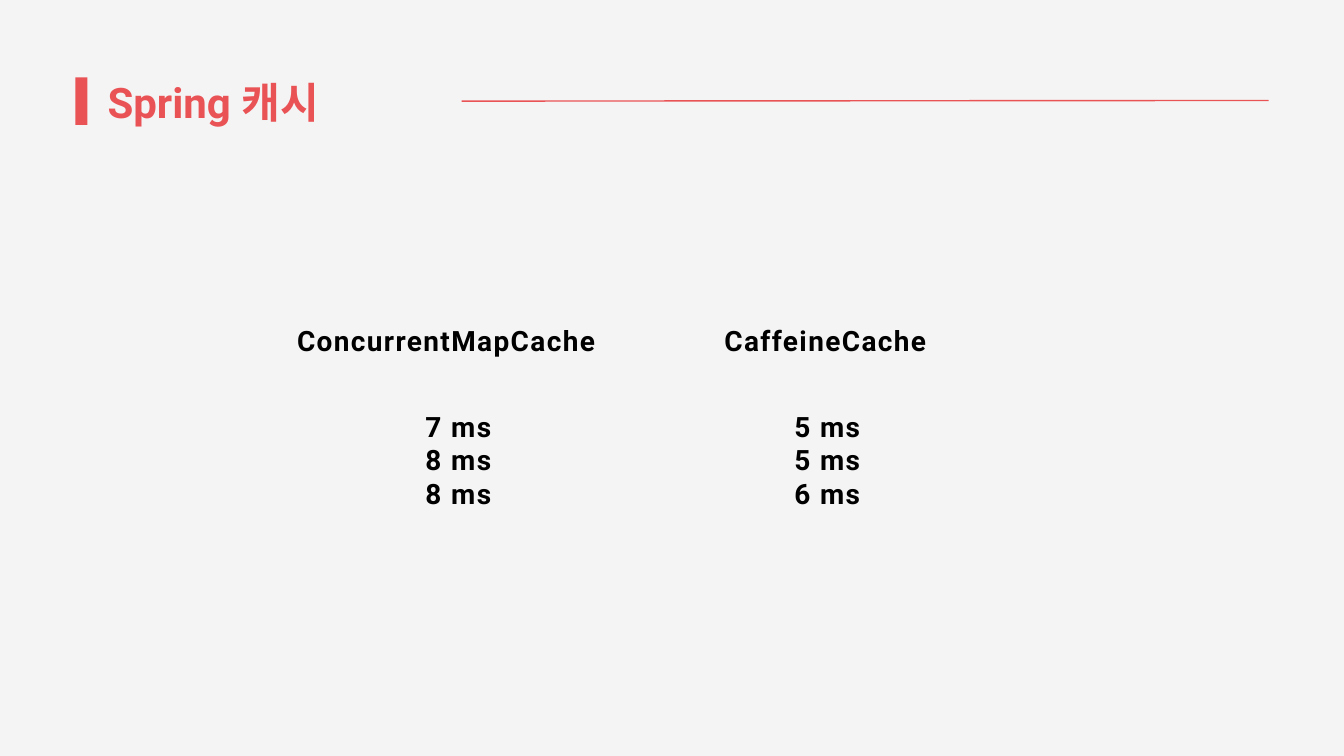
from dataclasses import dataclass

from lxml.etree import SubElement
from pptx import Presentation
from pptx.dml.color import RGBColor
from pptx.enum.shapes import MSO_CONNECTOR, MSO_SHAPE
from pptx.enum.text import MSO_ANCHOR, MSO_AUTO_SIZE, PP_ALIGN
from pptx.oxml.ns import qn
from pptx.util import Inches, Pt


@dataclass(frozen=True)
class Theme:
    font: str = "Roboto"
    background: RGBColor = RGBColor(0xF4, 0xF4, 0xF4)
    accent: RGBColor = RGBColor(0xEA, 0x53, 0x55)
    ink: RGBColor = RGBColor(0, 0, 0)
    title_size: float = 45
    title_leading: float = 58.5
    body_size: float = 30
    body_leading: float = 36
    body_tracking: float = 1.5


THEME = Theme()
WIDTH, HEIGHT = 20, 11.25
COMPARISON_LAYOUT = 4
COLUMN_WIDTH = 8.18
LINE_HEIGHT = THEME.body_leading / 72
COLUMNS = [
    # heading, heading left, values, indent of the values
    ("ConcurrentMapCache", 4.42, ["7 ms", "8 ms", "8 ms"], 1.91),
    ("CaffeineCache", 10.78, ["5 ms", "5 ms", "6 ms"], 1.04),
]


def fill_text(sp, box, lines, size, leading, color, tracking=0):
    """Place a placeholder and set its lines flush left, without bullets."""
    sp.left, sp.top, sp.width, sp.height = map(Inches, box)
    tf = sp.text_frame
    tf.text = "\n".join(lines)
    tf.word_wrap = True
    tf.auto_size = MSO_AUTO_SIZE.NONE
    tf.vertical_anchor = MSO_ANCHOR.TOP
    tf.margin_left = tf.margin_top = tf.margin_right = tf.margin_bottom = 0
    for p in tf.paragraphs:
        p.alignment = PP_ALIGN.LEFT
        p.line_spacing = Pt(leading)
        p.space_before = p.space_after = Pt(0)
        pPr = p._p.get_or_add_pPr()
        pPr.set("marL", "0")
        pPr.set("indent", "0")
        SubElement(pPr, qn("a:buNone"))
        for r in p.runs:
            r.font.name = THEME.font
            r.font.size = Pt(size)
            r.font.bold = True
            r.font.color.rgb = color
            rPr = r._r.get_or_add_rPr()
            rPr.set("spc", str(int(tracking * 100)))
            SubElement(rPr, qn("a:ea")).set("typeface", THEME.font)


def add_header(s, text, box):
    """Title with an accent bar before it and a rule running to the right edge."""
    left, top, width, height = box
    bar = s.shapes.add_shape(MSO_SHAPE.RECTANGLE, Inches(left), Inches(top),
                             Inches(0.18), Inches(height))
    bar.shadow.inherit = False
    bar.fill.solid()
    bar.fill.fore_color.rgb = THEME.accent
    bar.line.fill.background()

    title_left, title_width = left + 0.48, 5.27
    fill_text(s.shapes.title, (title_left, top - 0.07, title_width, 0.79), [text],
              THEME.title_size, THEME.title_leading, THEME.accent)

    middle = top + height / 2
    rule = s.shapes.add_connector(MSO_CONNECTOR.STRAIGHT,
                                  Inches(title_left + title_width), Inches(middle),
                                  Inches(left + width), Inches(middle - 0.01))
    rule.line.color.rgb = THEME.accent
    rule.line.width = Pt(1.5)
    SubElement(rule._element.spPr, qn("a:effectLst"))


def add_column(heading_sp, values_sp, heading, values, left, top, indent):
    style = (THEME.body_size, THEME.body_leading, THEME.ink, THEME.body_tracking)
    fill_text(heading_sp, (left, top, COLUMN_WIDTH, LINE_HEIGHT), [heading], *style)
    fill_text(values_sp, (left + indent, top + 1.27, COLUMN_WIDTH,
                          LINE_HEIGHT * len(values)), values, *style)


def main():
    prs = Presentation()
    prs.slide_width, prs.slide_height = Inches(WIDTH), Inches(HEIGHT)
    s = prs.slides.add_slide(prs.slide_layouts[COMPARISON_LAYOUT])
    s.background.fill.solid()
    s.background.fill.fore_color.rgb = THEME.background

    margin = 1.12
    add_header(s, "Spring 캐시", (margin, 1.15, WIDTH - 2 * margin, 0.71))
    bodies = list(s.placeholders)[1:]
    for i, (heading, left, values, indent) in enumerate(COLUMNS):
        heading_sp, values_sp = bodies[2 * i:2 * i + 2]
        add_column(heading_sp, values_sp, heading, values, left, 4.82, indent)
    prs.save("out.pptx")


if __name__ == "__main__":
    main()
